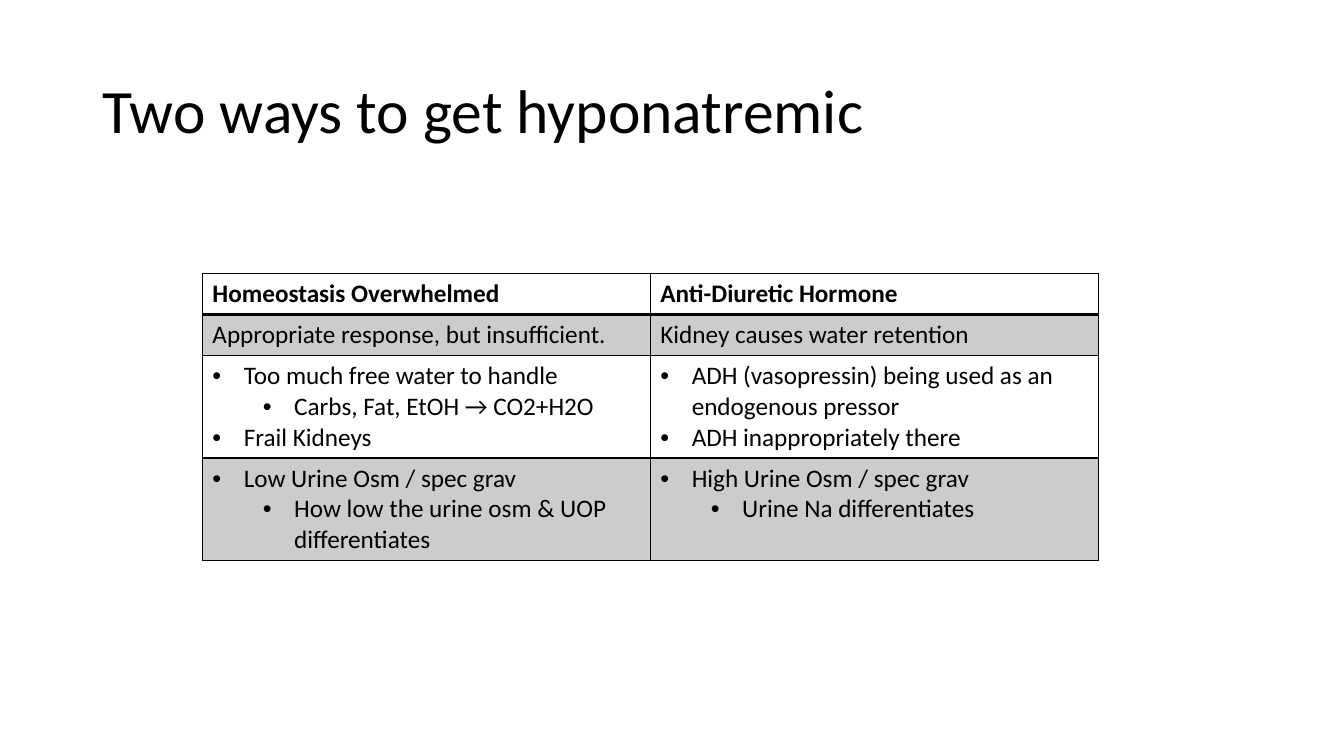
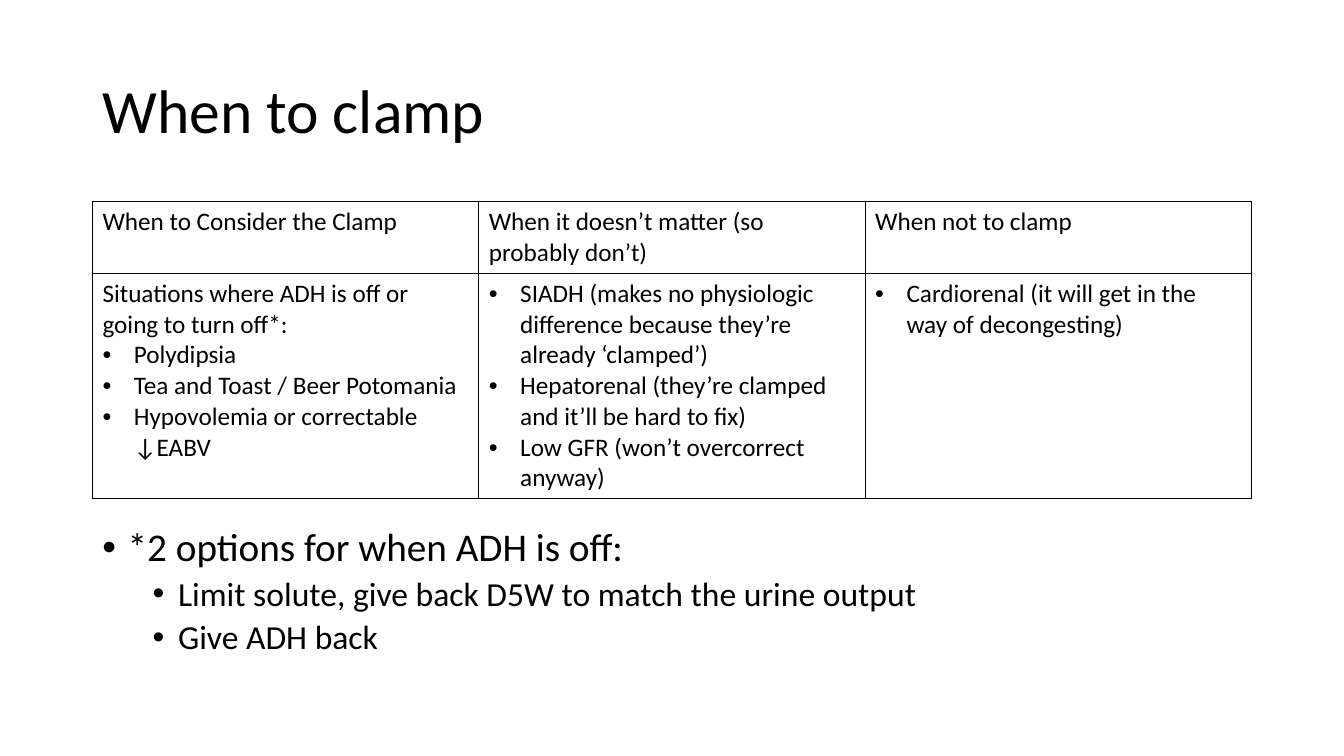
from lxml import etree
from pptx import Presentation
from pptx import util as u
from pptx.dml.color import RGBColor
from pptx.enum import text
from pptx.oxml import ns

BLACK = RGBColor(0x00, 0x00, 0x00)
GREY = RGBColor(0xCC, 0xCC, 0xCC)
FONT = "Calibri"
TITLE_BOX = (2.33, 1.02, 29.21, 3.68)
TITLE_ONLY = 5

# Cell text is a list of (level, wording); level None means no bullet.
WAYS = [
    [[(None, "Homeostasis Overwhelmed")], [(None, "Anti-Diuretic Hormone")]],
    [[(None, "Appropriate response, but insufficient.")],
     [(None, "Kidney causes water retention")]],
    [[(0, "Too much free water to handle"),
      (1, "Carbs, Fat, EtOH → CO2+H2O"),
      (0, "Frail Kidneys")],
     [(0, "ADH (vasopressin) being used as an endogenous pressor"),
      (0, "ADH inappropriately there")]],
    [[(0, "Low Urine Osm / spec grav"),
      (1, "How low the urine osm & UOP differentiates")],
     [(0, "High Urine Osm / spec grav"),
      (1, "Urine Na differentiates")]],
]

CLAMP = [
    [[(None, "When to Consider the Clamp")],
     [(None, "When it doesn’t matter (so probably don’t)")],
     [(None, "When not to clamp")]],
    [[(None, "Situations where ADH is off or going to turn off*:"),
      (0, "Polydipsia"),
      (0, "Tea and Toast / Beer Potomania"),
      (0, "Hypovolemia or correctable ↓EABV")],
     [(0, "SIADH (makes no physiologic difference because they’re already ‘clamped’)"),
      (0, "Hepatorenal (they’re clamped and it’ll be hard to fix)"),
      (0, "Low GFR (won’t overcorrect anyway)")],
     [(0, "Cardiorenal (it will get in the way of decongesting)")]],
]

OPTIONS = [
    (0, "*2 options for when ADH is off:"),
    (1, "Limit solute, give back D5W to match the urine output"),
    (1, "Give ADH back"),
]


def set_font(paragraph, size, bold=False):
    font = paragraph.font
    font.name, font.size, font.bold = FONT, u.Pt(size), bold
    font.color.rgb = BLACK


def set_bullet(paragraph, level, hang):
    """Hang a round bullet; each level steps in by 1.27 cm."""
    paragraph.level = level
    props = paragraph._p.get_or_add_pPr()
    props.set("marL", str(u.Cm(hang + 1.27 * level)))
    props.set("indent", str(-u.Cm(hang)))
    etree.SubElement(props, ns.qn("a:buFont"), typeface="Arial")
    etree.SubElement(props, ns.qn("a:buChar"), char="•")


def write_list(frame, items, sizes, hang, bold=False):
    """Fill a text frame and return its paragraphs."""
    for index, (level, wording) in enumerate(items):
        paragraph = frame.add_paragraph() if index else frame.paragraphs[0]
        paragraph.text = wording
        if level is not None:
            set_bullet(paragraph, level, hang)
        set_font(paragraph, sizes[level or 0], bold)
    return frame.paragraphs


def add_titled_slide(deck, wording):
    slide = deck.slides.add_slide(deck.slide_layouts[TITLE_ONLY])
    title = slide.shapes.title
    title.left, title.top, title.width, title.height = map(u.Cm, TITLE_BOX)
    frame = title.text_frame
    frame.text = wording
    frame.vertical_anchor = text.MSO_ANCHOR.MIDDLE
    heading = frame.paragraphs[0]
    heading.alignment = text.PP_ALIGN.LEFT
    heading.line_spacing = 0.9
    set_font(heading, 44)
    return slide


def set_borders(cell, top, bottom):
    props = cell._tc.get_or_add_tcPr()
    for side, width in (("L", 1), ("R", 1), ("T", top), ("B", bottom)):
        line = etree.SubElement(props, ns.qn(f"a:ln{side}"), w=str(u.Pt(width)))
        fill = etree.SubElement(line, ns.qn("a:solidFill"))
        etree.SubElement(fill, ns.qn("a:srgbClr"), val=str(BLACK))


def add_grid(slide, box, row_heights, content, striped=False):
    """Ruled table; striped adds a bold header, a heavy rule and grey bands."""
    left, top, width = box
    columns = len(content[0])
    table = slide.shapes.add_table(
        len(content), columns, u.Cm(left), u.Cm(top),
        u.Cm(width), u.Cm(sum(row_heights))).table
    table.first_row = table.horz_banding = False
    for column in table.columns:
        column.width = u.Cm(width / columns)
    for r, (height, row) in enumerate(zip(row_heights, content)):
        table.rows[r].height = u.Cm(height)
        for c, items in enumerate(row):
            cell = table.cell(r, c)
            write_list(cell.text_frame, items, (18, 18), 0.79,
                       bold=striped and r == 0)
            set_borders(cell, top=2 if striped and r == 1 else 1,
                        bottom=2 if striped and r == 0 else 1)
            if striped and r % 2:
                cell.fill.solid()
                cell.fill.fore_color.rgb = GREY
            else:
                cell.fill.background()


def add_options(slide, box):
    frame = slide.shapes.add_textbox(*map(u.Cm, box)).text_frame
    frame.word_wrap = True
    for index, paragraph in enumerate(write_list(frame, OPTIONS, (28, 24), 0.64)):
        paragraph.line_spacing = 0.9
        if index:
            paragraph.space_before = u.Pt(5)


def main():
    deck = Presentation()
    deck.slide_width, deck.slide_height = u.Cm(33.87), u.Cm(19.05)

    # Causes
    causes = add_titled_slide(deck, "Two ways to get hyponatremic")
    add_grid(causes, (5.1, 6.9, 22.58), (1.03, 1.03, 2.58, 2.58), WAYS, striped=True)

    # Clamp decision
    decision = add_titled_slide(deck, "When to clamp")
    add_grid(decision, (2.33, 5.08, 29.21), (1.79, 5.68), CLAMP)
    add_options(decision, (2.33, 13.18, 30.25, 5.5))

    deck.save("out.pptx")


if __name__ == "__main__":
    main()
